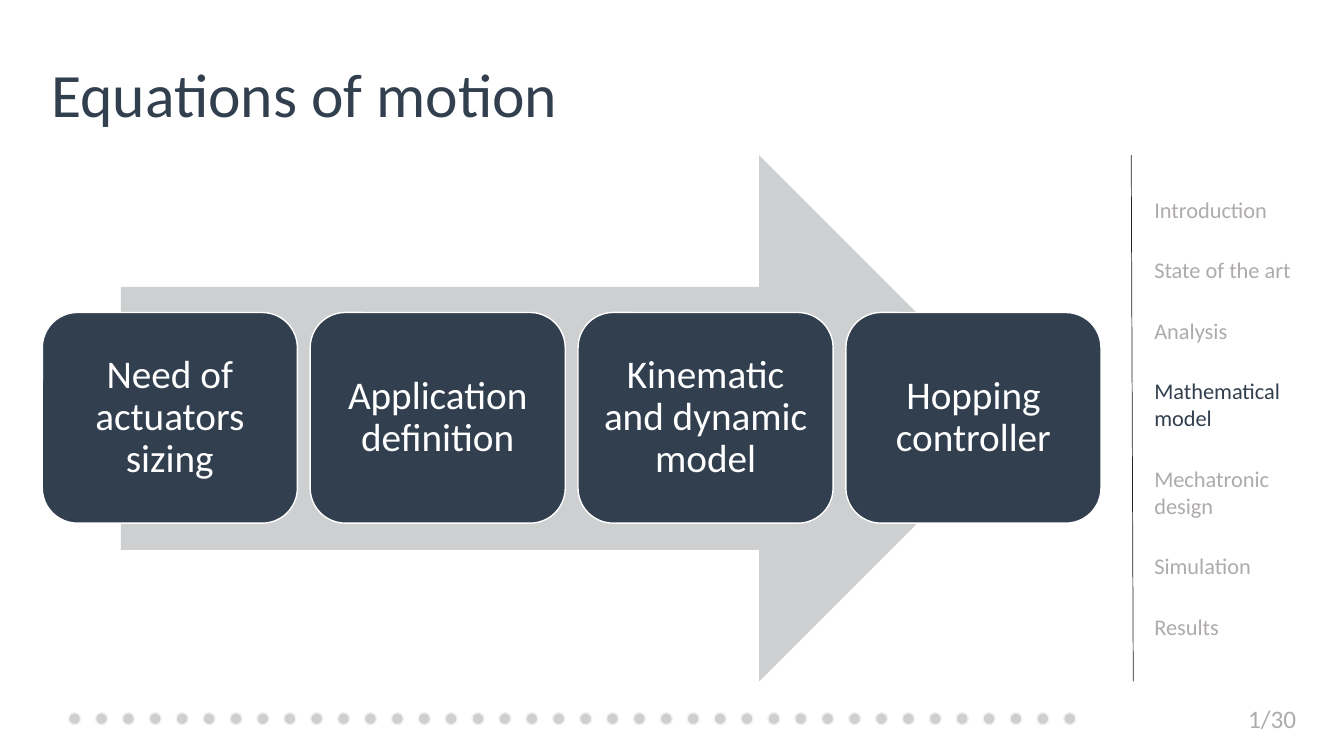
from pptx import Presentation
from pptx.dml.color import RGBColor
from pptx.enum.shapes import MSO_CONNECTOR, MSO_SHAPE
from pptx.enum.text import MSO_ANCHOR, PP_ALIGN
from pptx.oxml.ns import qn
from pptx.util import Inches, Pt
from lxml import etree

TITLE = "Equations of motion"
STEPS = ["Need of actuators sizing", "Application definition",
         "Kinematic and dynamic model", "Hopping controller"]
SECTIONS = ["Introduction", "State of the art", "Analysis", "Mathematical model",
            "Mechatronic design", "Simulation", "Results"]
CURRENT = "Mathematical model"
PAGE = "1/30"

FONT = "Calibri"
NAVY = RGBColor(0x32, 0x3F, 0x4F)
WHITE = RGBColor(0xFF, 0xFF, 0xFF)
ARROW_GREY = RGBColor(0xCE, 0xCF, 0xD0)
TEXT_GREY = RGBColor(0xAF, 0xAB, 0xAB)
DOT_GREY = RGBColor(0xD0, 0xCE, 0xCE)
DOT_EDGE = RGBColor(0xF2, 0xF2, 0xF2)
RULE = RGBColor(0x1C, 0x23, 0x2C)

STEP_LEFT, STEP_RIGHT, STEP_WIDTH = 0.42, 10.92, 2.53
DOT_COUNT, DOT_FIRST, DOT_LAST = 38, 0.68, 10.55


def add_shape(slide, kind, box, fill, edge=None):
    sp = slide.shapes.add_shape(kind, *map(Inches, box))
    sp.shadow.inherit = False
    sp.fill.solid()
    sp.fill.fore_color.rgb = fill
    if edge is None:
        sp.line.fill.background()
    else:
        sp.line.color.rgb = edge
        sp.line.width = Pt(1)
    return sp


def write(p, text, size, color):
    p.text = text
    font = p.runs[0].font
    font.name, font.size, font.color.rgb = FONT, Pt(size), color


def add_text(slide, box, wrap=True, anchor=MSO_ANCHOR.MIDDLE):
    tf = slide.shapes.add_textbox(*map(Inches, box)).text_frame
    tf.word_wrap = wrap
    tf.vertical_anchor = anchor
    return tf


def add_steps(slide):
    add_shape(slide, MSO_SHAPE.RIGHT_ARROW, (1.2, 1.54, 8.94, 5.22), ARROW_GREY)
    pitch = (STEP_RIGHT - STEP_WIDTH - STEP_LEFT) / (len(STEPS) - 1)
    for i, step in enumerate(STEPS):
        box = (STEP_LEFT + i * pitch, 3.1, STEP_WIDTH, 2.09)
        tf = add_shape(slide, MSO_SHAPE.ROUNDED_RECTANGLE, box, NAVY, WHITE).text_frame
        tf.word_wrap = True
        tf.vertical_anchor = MSO_ANCHOR.MIDDLE
        tf.margin_left = tf.margin_right = Inches(0.12)
        p = tf.paragraphs[0]
        p.alignment = PP_ALIGN.CENTER
        p.line_spacing = 0.9
        write(p, step, 28, WHITE)


def add_sections(slide):
    tf = add_text(slide, (11.35, 1.54, 1.61, 5.21))
    for i, section in enumerate(SECTIONS):
        p = tf.add_paragraph() if i else tf.paragraphs[0]
        if i:
            p.space_before = Pt(24)
        write(p, section, 16, NAVY if section == CURRENT else TEXT_GREY)
    rule = slide.shapes.add_connector(
        MSO_CONNECTOR.STRAIGHT, *map(Inches, (11.22, 1.54, 11.24, 6.76)))
    rule.line.color.rgb = RULE
    rule.line.width = Pt(0.5)
    etree.SubElement(rule._element.spPr, qn("a:effectLst"))


def add_progress(slide):
    pitch = (DOT_LAST - DOT_FIRST) / (DOT_COUNT - 1)
    for i in range(DOT_COUNT):
        box = (DOT_FIRST + i * pitch, 7.07, 0.12, 0.12)
        add_shape(slide, MSO_SHAPE.OVAL, box, DOT_GREY, DOT_EDGE)
    tf = add_text(slide, (12.28, 6.93, 0.68, 0.4), False, MSO_ANCHOR.TOP)
    write(tf.paragraphs[0], PAGE, 18, TEXT_GREY)


def main():
    prs = Presentation()
    prs.slide_width, prs.slide_height = Inches(13.33), Inches(7.5)
    slide = prs.slides.add_slide(prs.slide_layouts[6])
    p = add_text(slide, (0.41, 0.4, 12.45, 1.14)).paragraphs[0]
    p.line_spacing = 0.9
    write(p, TITLE, 44, NAVY)
    add_steps(slide)
    add_sections(slide)
    add_progress(slide)
    prs.save("out.pptx")


if __name__ == "__main__":
    main()
